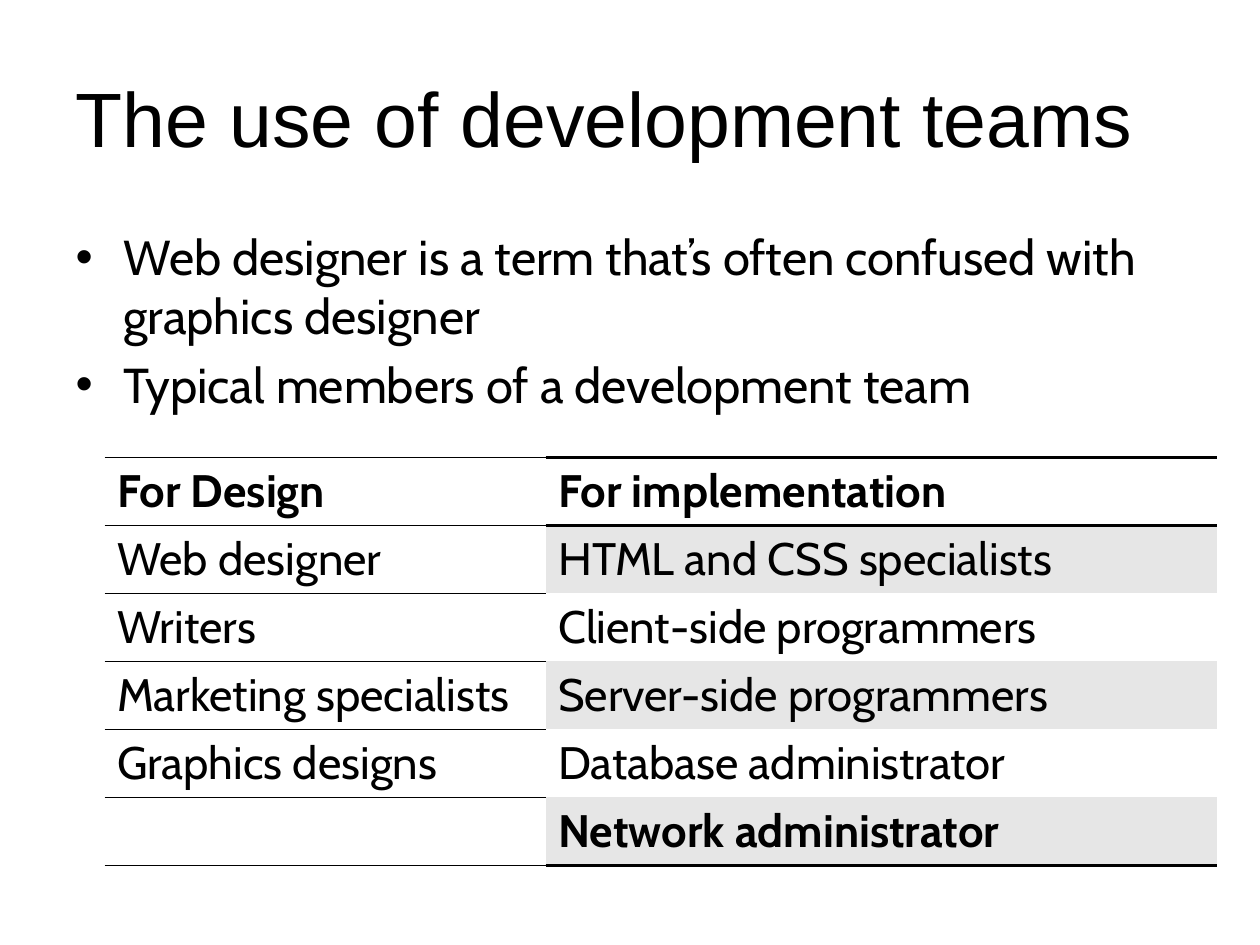
from dataclasses import dataclass

from lxml.etree import SubElement
from pptx import Presentation
from pptx.dml.color import RGBColor
from pptx.enum.text import MSO_ANCHOR, MSO_AUTO_SIZE, PP_ALIGN
from pptx.oxml.ns import qn
from pptx.util import Inches, Pt


@dataclass(frozen=True)
class Theme:
    ink: RGBColor = RGBColor(0x00, 0x00, 0x00)
    paper: RGBColor = RGBColor(0xFF, 0xFF, 0xFF)
    band: RGBColor = RGBColor(0xE6, 0xE6, 0xE6)
    title_font: str = "Arial"
    text_font: str = "Cabin"
    title_size: float = 44
    list_size: float = 28
    table_size: float = 26
    thin: float = 1
    thick: float = 2


class SlideBuilder:
    def __init__(self, slide, theme):
        self.slide = slide
        self.theme = theme

    def style(self, paragraph, font_name, size, bold=False):
        font = paragraph.font
        font.name, font.size, font.bold = font_name, Pt(size), bold
        font.color.rgb = self.theme.ink

    def place(self, placeholder, left, top, width, height):
        placeholder.left, placeholder.top = Inches(left), Inches(top)
        placeholder.width, placeholder.height = Inches(width), Inches(height)
        frame = placeholder.text_frame
        frame.word_wrap = True
        frame.auto_size = MSO_AUTO_SIZE.NONE
        return frame

    def title(self, text, *box):
        frame = self.place(self.slide.shapes.title, *box)
        frame.vertical_anchor = MSO_ANCHOR.MIDDLE
        frame.text = text
        heading = frame.paragraphs[0]
        heading.alignment = PP_ALIGN.LEFT
        self.style(heading, self.theme.title_font, self.theme.title_size)

    def bullets(self, items, *box):
        frame = self.place(self.slide.placeholders[1], *box)
        frame.text = "\n".join(items)
        for index, item in enumerate(frame.paragraphs):
            item.space_before = Pt(5.6 if index else 0)
            properties = item._p.get_or_add_pPr()
            properties.set("marL", str(Inches(0.38)))
            properties.set("indent", str(-Inches(0.38)))
            SubElement(properties, qn("a:buFont"), typeface="Arial")
            SubElement(properties, qn("a:buChar"), char="•")
            self.style(item, self.theme.text_font, self.theme.list_size)

    def borders(self, cell, top, bottom):
        """Draw the top and bottom edges in points; zero means no line."""
        properties = cell._tc.get_or_add_tcPr()
        for side, width in (("L", 0), ("R", 0), ("T", top), ("B", bottom)):
            line = SubElement(properties, qn(f"a:ln{side}"), w=str(Pt(width)))
            if width:
                fill = SubElement(line, qn("a:solidFill"))
                SubElement(fill, qn("a:srgbClr"), val=str(self.theme.ink))
            else:
                SubElement(line, qn("a:noFill"))

    def table(self, rows, bold_cells, rules, left, top, widths, row_height):
        """Fill a table; rules holds the edge widths of each column, top down."""
        table = self.slide.shapes.add_table(
            len(rows), len(widths), Inches(left), Inches(top),
            Inches(sum(widths)), Inches(row_height * len(rows))).table
        table.first_row = table.horz_banding = False
        for column, width in zip(table.columns, widths):
            column.width = Inches(width)
        for r, row in enumerate(rows):
            for c, text in enumerate(row):
                cell = table.cell(r, c)
                self.borders(cell, rules[c][r], rules[c][r + 1])
                cell.fill.solid()
                banded = c == 1 and r % 2 == 1
                cell.fill.fore_color.rgb = self.theme.band if banded else self.theme.paper
                cell.text = text
                self.style(cell.text_frame.paragraphs[0], self.theme.text_font,
                           self.theme.table_size, (r, c) in bold_cells)


TEAM = [
    ("For Design", "For implementation"),
    ("Web designer", "HTML and CSS specialists"),
    ("Writers", "Client-side programmers"),
    ("Marketing specialists", "Server-side programmers"),
    ("Graphics designs", "Database administrator"),
    ("", "Network administrator"),
]


def main():
    deck = Presentation()
    deck.slide_width, deck.slide_height = Inches(10), Inches(7.5)
    theme = Theme()
    builder = SlideBuilder(deck.slides.add_slide(deck.slide_layouts[1]), theme)

    builder.title("The use of development teams", 0.5, 0.3, 9, 1.25)
    builder.bullets([
        "Web designer is a term that’s often confused with graphics designer",
        "Typical members of a development team",
    ], 0.5, 1.75, 9, 4.95)

    last = len(TEAM)
    design_rules = [theme.thin] * (last + 1)
    implementation_rules = [theme.thick if edge in (0, 1, last) else 0
                            for edge in range(last + 1)]
    builder.table(TEAM, {(0, 0), (0, 1), (last - 1, 1)},
                  (design_rules, implementation_rules),
                  left=0.83, top=3.63, widths=(3.5, 5.33), row_height=0.54)
    deck.save("out.pptx")


if __name__ == "__main__":
    main()
